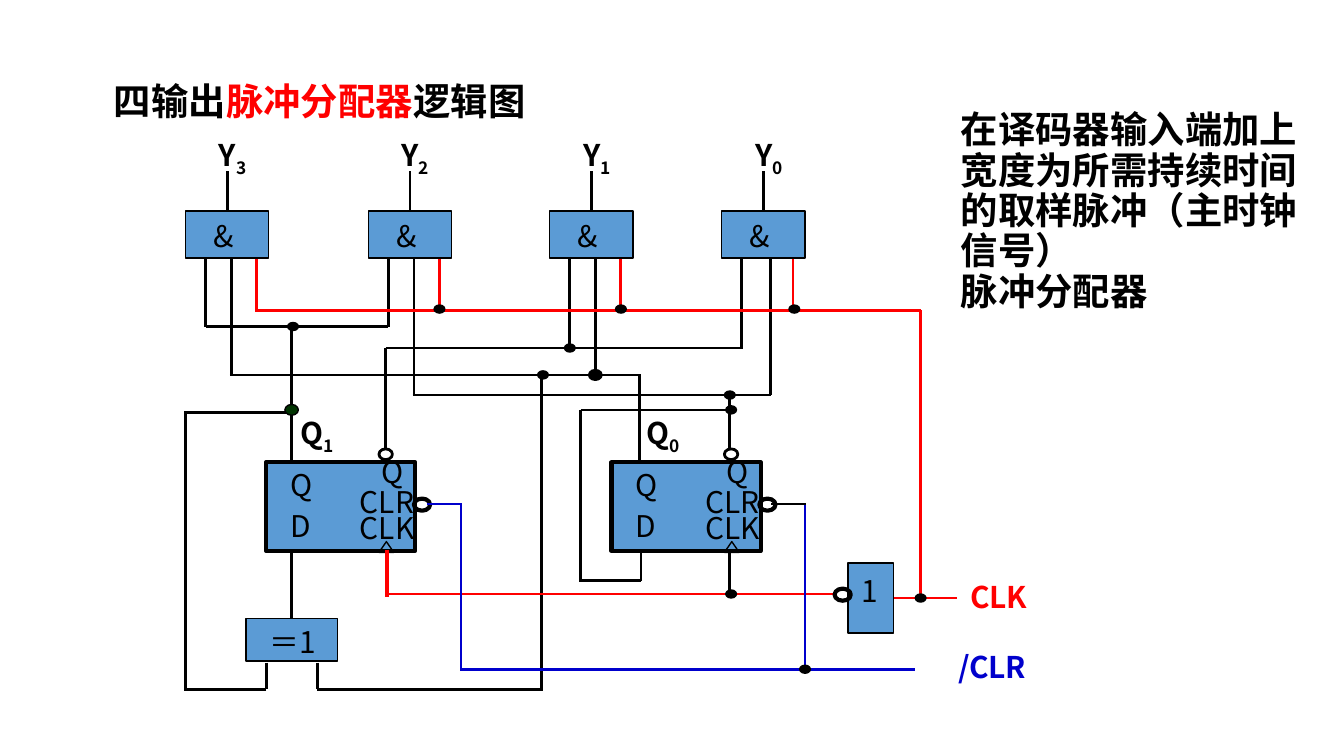
"""Build the logic diagram slide of a four-output pulse distributor."""
from dataclasses import dataclass

import pptx
import pptx.dml.color
import pptx.enum.shapes
import pptx.util
from lxml import etree

PX = 9144
BLACK, RED, BLUE, FILL = "000000", "FF0000", "0000CC", "5B9BD5"
HEAD_FONT, FONT = "Noto Sans CJK JP", "Noto Sans CJK SC"
MSO = pptx.enum.shapes.MSO_SHAPE
STRAIGHT = pptx.enum.shapes.MSO_CONNECTOR.STRAIGHT
A_NS = "http://schemas.openxmlformats.org/drawingml/2006/main"


@dataclass
class Run:
    text: str
    color: str = BLACK
    bold: bool = False
    sub: bool = False


@dataclass
class Gate:
    index: str
    left: int
    outer_end: int
    inner_x: int
    inner_end: int


@dataclass
class FlipFlop:
    index: str
    left: int


@dataclass
class Wire:
    x1: int
    y1: int
    x2: int
    y2: int
    color: str = BLACK
    weight: float = 1.5


GATES = [
    Gate("3", 138, 243, 172, 279),
    Gate("2", 274, 243, 308, 294),
    Gate("1", 409, 259, 443, 279),
    Gate("0", 537, 259, 573, 294),
]
FLIP_FLOPS = [FlipFlop("1", 198), FlipFlop("0", 455)]
WIRES = [
    Wire(191, 231, 685, 231, RED),
    Wire(153, 243, 289, 243),
    Wire(287, 259, 553, 259),
    Wire(171, 279, 477, 279),
    Wire(307, 294, 574, 294),
    Wire(217, 342, 217, 243),
    Wire(287, 333, 287, 259),
    Wire(476, 342, 476, 279),
    Wire(543, 333, 543, 294),
    Wire(477, 409, 477, 432),
    Wire(477, 432, 431, 432),
    Wire(432, 432, 432, 305),
    Wire(432, 305, 545, 305),
    Wire(403, 279, 403, 513),
    Wire(236, 493, 236, 513),
    Wire(236, 513, 404, 513),
    Wire(198, 493, 198, 513),
    Wire(198, 513, 138, 513),
    Wire(138, 514, 138, 306),
    Wire(137, 307, 219, 307),
    Wire(288, 409, 288, 444, RED, 2.25),
    Wire(622, 442, 287, 442, RED),
    Wire(543, 409, 543, 444),
    Wire(685, 231, 685, 448, RED),
    Wire(318, 375, 344, 375, BLUE),
    Wire(343, 375, 343, 499, BLUE),
    Wire(343, 498, 681, 498, BLUE),
    Wire(574, 375, 600, 375),
    Wire(599, 376, 599, 499, BLUE),
]
DOTS = [
    (599, 498), (591, 230), (462, 230), (327, 230), (218, 243), (424, 259),
    (404, 279), (543, 294), (544, 305), (685, 445), (544, 442),
]


def rgb(color: str) -> pptx.dml.color.RGBColor:
    """Turn a hex string into a colour."""
    return pptx.dml.color.RGBColor.from_string(color)


def add_text(s, left: int, top: int, width: int, height: int,
             paragraphs: list[list[Run]], size: int = 20, font: str = HEAD_FONT,
             spacing: float = 0.9, top_inset: int = 4, right_inset: int = 10) -> None:
    """Add a wrapped text box, run by run."""
    sp = s.shapes.add_textbox(left * PX, top * PX, width * PX, height * PX)
    tf = sp.text_frame
    tf.word_wrap = True
    tf.margin_left, tf.margin_right = 10 * PX, right_inset * PX
    tf.margin_top = top_inset * PX
    for i, runs in enumerate(paragraphs):
        p = tf.add_paragraph() if i else tf.paragraphs[0]
        p.line_spacing = spacing
        for run in runs:
            r = p.add_run()
            r.text = run.text
            r.font.size = pptx.util.Pt(size)
            r.font.name = font
            r.font.bold = run.bold
            r.font.color.rgb = rgb(run.color)
            etree.SubElement(r.font._element, f"{{{A_NS}}}ea", typeface=font)
            if run.sub:
                r.font._element.set("baseline", "-25000")


def add_label(s, left: int, top: int, width: int, *runs: Run) -> None:
    """Add a one-line diagram label."""
    add_text(s, left, top, width, 37, [list(runs)], 16, FONT, 1.0, 5, 0)


def add_part(s, kind, left: int, top: int, width: int, height: int,
             fill: str | None = None, weight: float = 0.75):
    """Add an outlined shape, hollow unless a fill is given."""
    sp = s.shapes.add_shape(kind, left * PX, top * PX, width * PX, height * PX)
    sp.shadow.inherit = False
    if fill:
        sp.fill.solid()
        sp.fill.fore_color.rgb = rgb(fill)
    else:
        sp.fill.background()
    sp.line.color.rgb = rgb(BLACK)
    sp.line.width = pptx.util.Pt(weight)
    return sp


def add_wire(s, w: Wire):
    """Add a straight connector."""
    c = s.shapes.add_connector(STRAIGHT, w.x1 * PX, w.y1 * PX, w.x2 * PX, w.y2 * PX)
    c.line.color.rgb = rgb(w.color)
    c.line.width = pptx.util.Pt(w.weight)
    etree.SubElement(c._element.spPr, f"{{{A_NS}}}effectLst")
    return c


def add_gate(s, g: Gate) -> None:
    """Add an AND gate with its output stem and three input legs."""
    box = add_part(s, MSO.RECTANGLE, g.left, 157, 62, 35, FILL)
    stem = add_wire(s, Wire(g.left + 31, 157, g.left + 31, 127))
    stem.begin_connect(box, 0)
    add_wire(s, Wire(g.left + 15, 193, g.left + 15, g.outer_end))
    add_wire(s, Wire(g.inner_x, 192, g.inner_x, g.inner_end))
    add_wire(s, Wire(g.left + 53, 193, g.left + 53, 232, RED))
    add_label(s, g.left + 11, 157, 39, Run("&"))
    add_label(s, g.left + 15, 97, 60, Run("Y", bold=True), Run(g.index, bold=True, sub=True))


def add_flip_flop(s, f: FlipFlop) -> None:
    """Add a D flip-flop with its pins and bubbles."""
    add_part(s, MSO.RECTANGLE, f.left, 344, 111, 66, FILL, 2.25)
    add_part(s, MSO.FLOWCHART_EXTRACT, f.left + 84, 403, 11, 8)
    add_part(s, MSO.OVAL, f.left + 84, 334, 10, 8, weight=1.5)
    add_part(s, MSO.OVAL, f.left + 110, 371, 12, 9, weight=2.25)
    for name, dx, top in (("Q", 8, 342), ("D", 8, 373), ("Q", 76, 333),
                          ("CLR", 60, 355), ("CLK", 60, 374)):
        add_label(s, f.left + dx, top, 24 if len(name) == 1 else 70, Run(name))
    add_label(s, f.left + 16, 304, 60, Run("Q", bold=True), Run(f.index, bold=True, sub=True))


def main() -> None:
    """Build and save the slide."""
    prs = pptx.Presentation()
    prs.slide_width = 1000 * PX
    prs.slide_height = prs.slide_width * 9 // 16
    s = prs.slides.add_slide(prs.slide_layouts[6])
    title = [Run("四输出", bold=True), Run("脉冲分配器", RED, True), Run("逻辑图", bold=True)]
    add_text(s, 75, 58, 850, 62, [title])
    for g in GATES:
        add_gate(s, g)
    for f in FLIP_FLOPS:
        add_flip_flop(s, f)
    for w in WIRES:
        add_wire(s, w)

    xor = add_part(s, MSO.RECTANGLE, 183, 460, 68, 32, FILL)
    add_wire(s, Wire(217, 409, 217, 460)).end_connect(xor, 0)
    add_label(s, 191, 459, 60, Run("＝1"))
    inverter = add_part(s, MSO.RECTANGLE, 631, 419, 34, 52, FILL)
    add_wire(s, Wire(665, 445, 712, 445, RED)).begin_connect(inverter, 3)
    add_part(s, MSO.OVAL, 621, 438, 12, 9, weight=2.25)
    add_label(s, 631, 421, 42, Run("1"))

    for x, y in DOTS:
        add_part(s, MSO.OVAL, x - 4, y - 3, 8, 6, BLACK)
    add_part(s, MSO.OVAL, 438, 275, 10, 8, BLACK)
    add_part(s, MSO.OVAL, 212, 301, 10, 8, "003300")
    add_label(s, 712, 426, 70, Run("CLK", RED, True))
    add_label(s, 703, 478, 138, Run("/CLR", BLUE, True))
    notes = ["在译码器输入端加上宽度为所需持续时间的取样脉冲（主时钟信号）", "脉冲分配器"]
    add_text(s, 705, 79, 293, 148, [[Run(t, bold=True)] for t in notes])
    prs.save("out.pptx")


if __name__ == "__main__":
    main()
